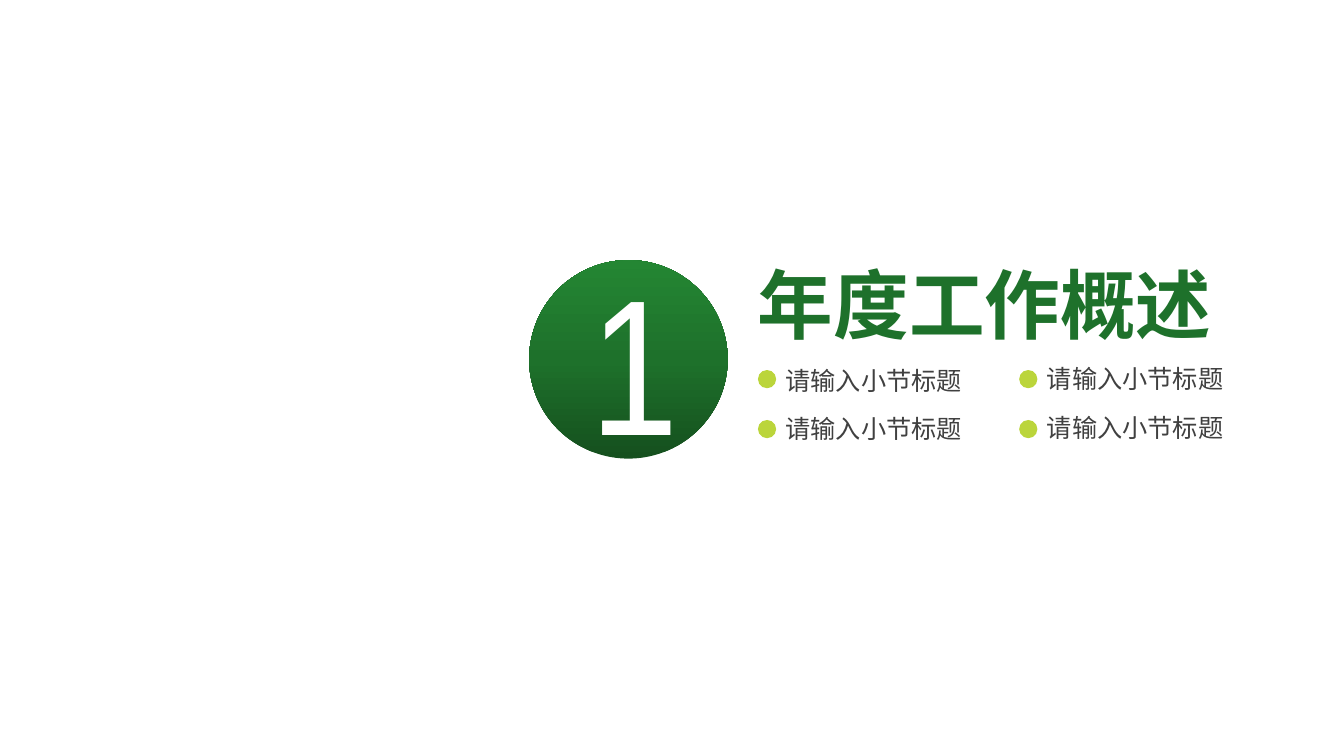
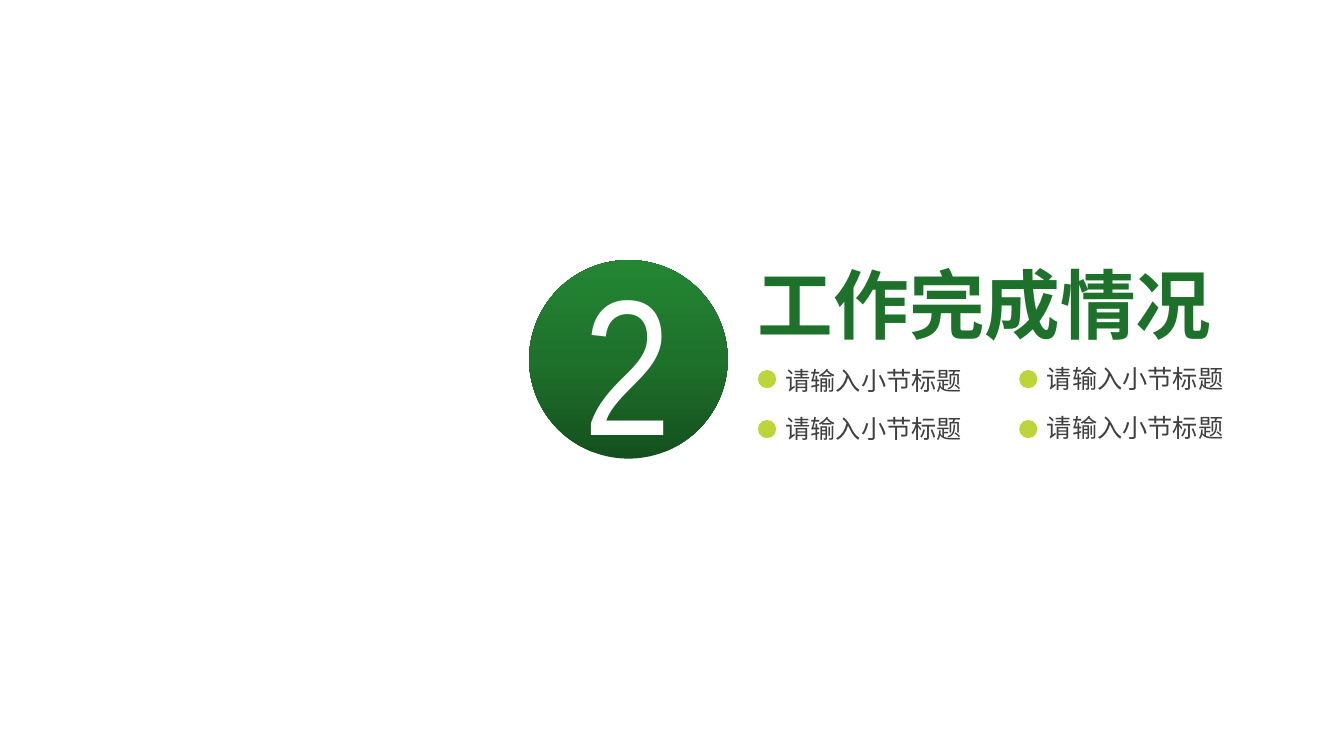
"""Build two section slides with a numbered disc, a title and four subheads."""
from copy import deepcopy

from lxml import etree
from pptx import Presentation
from pptx.dml.color import RGBColor
from pptx.enum.shapes import MSO_SHAPE
from pptx.enum.text import MSO_ANCHOR, MSO_AUTO_SIZE, PP_ALIGN
from pptx.oxml.ns import qn
from pptx.util import Pt

OVAL = MSO_SHAPE.OVAL
TOP = MSO_ANCHOR.TOP
FIT = MSO_AUTO_SIZE.SHAPE_TO_FIT_TEXT
LEFT, CENTER = PP_ALIGN.LEFT, PP_ALIGN.CENTER

HEX = {"dark": "15501E", "green": "1E712B", "light": "248633",
       "lime": "BBD53B", "gray": "404040", "white": "FFFFFF"}
CJK, NARROW = "Noto Sans CJK SC", "Arial Narrow"

HEAD = "请输入小节标题"
PARTS = [
    {"num": "1", "title": "年度工作概述", "heads": [HEAD] * 4, "left": 414.7, "width": 67.7},
    {"num": "2", "title": "工作完成情况", "heads": [HEAD] * 4, "left": 406.1, "width": 84.2},
]
STOPS = [(0, "dark"), (0.5, "green"), (1, "light")]
COLS = [541.4, 728]
ROWS = [264.3, 300]
LIFTS = [6.6, 8.7, 8.4, 9.1]
DOT, GAP = 13, 12.7


def color(name):
    return RGBColor.from_string(HEX[name])


def place(shape, left, top, width, height):
    shape.left, shape.top = Pt(left), Pt(top)
    shape.width, shape.height = Pt(width), Pt(height)


def write(shape, text, size, ink, font=CJK, bold=False, align=LEFT):
    frame = shape.text_frame
    frame.word_wrap = False
    frame.auto_size = FIT
    frame.vertical_anchor = TOP
    para = frame.paragraphs[0]
    para.alignment = align
    run = para.add_run()
    run.text = text
    run.font.size, run.font.bold, run.font.name = Pt(size), bold, font
    run.font.color.rgb = color(ink)
    etree.SubElement(run._r.get_or_add_rPr(), qn("a:ea"), typeface=font)


def add_text(shapes, box, text, **style):
    shape = shapes.add_textbox(*map(Pt, box))
    write(shape, text, **style)


def add_oval(shapes, left, top, side):
    oval = shapes.add_shape(OVAL, Pt(left), Pt(top), Pt(side), Pt(side))
    oval.shadow.inherit = False
    oval.line.fill.background()
    return oval


def add_disc(shapes):
    disc = add_oval(shapes, 378, 185.8, 141.8)
    disc.fill.gradient()
    disc.fill.gradient_angle = 90
    stops = disc.element.spPr.find(".//" + qn("a:gsLst"))
    stops.insert(1, deepcopy(stops[0]))
    for stop, (pos, name) in zip(disc.fill.gradient_stops, STOPS):
        stop.position = pos
        stop.color.rgb = color(name)


def add_heads(shapes, heads):
    for i, (head, lift) in enumerate(zip(heads, LIFTS)):
        row, col = divmod(i, len(COLS))
        left, top = COLS[col], ROWS[row]
        group = shapes.add_group_shape().shapes
        dot = add_oval(group, left, top, DOT)
        dot.fill.solid()
        dot.fill.fore_color.rgb = color("lime")
        add_text(group, (left + GAP, top - lift, 141.8, 29), head, size=18, ink="gray")


def add_part(deck, part):
    shapes = deck.slides.add_slide(deck.slide_layouts[5]).shapes
    place(shapes.title, 534.2, 180.7, 342, 72.7)
    write(shapes.title, part["title"], size=54, ink="green", bold=True)
    add_heads(shapes, part["heads"])
    add_disc(shapes)
    add_text(shapes, (part["left"], 169.2, part["width"], 174.2), part["num"],
             size=138, ink="white", font=NARROW, align=CENTER)


def main():
    deck = Presentation()
    deck.slide_width, deck.slide_height = Pt(960), Pt(540)
    for part in PARTS:
        add_part(deck, part)
    deck.save("out.pptx")


if __name__ == "__main__":
    main()
